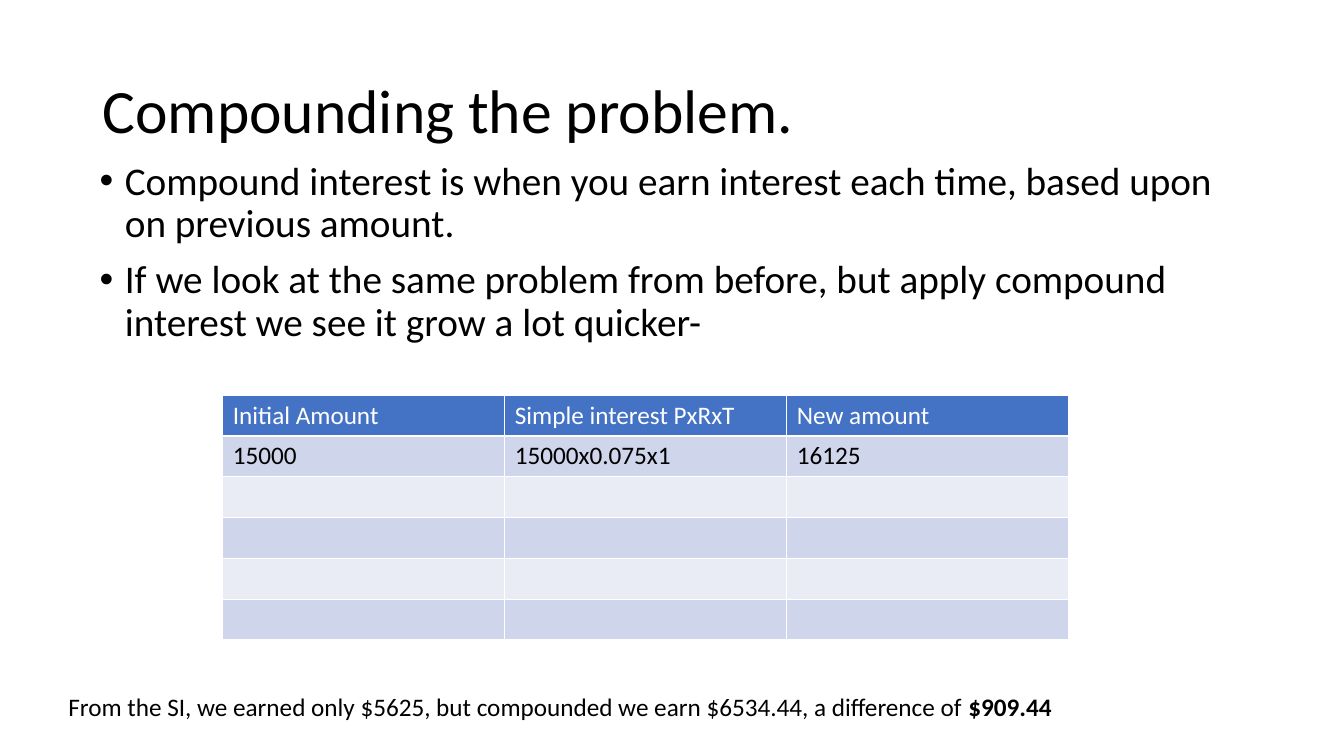
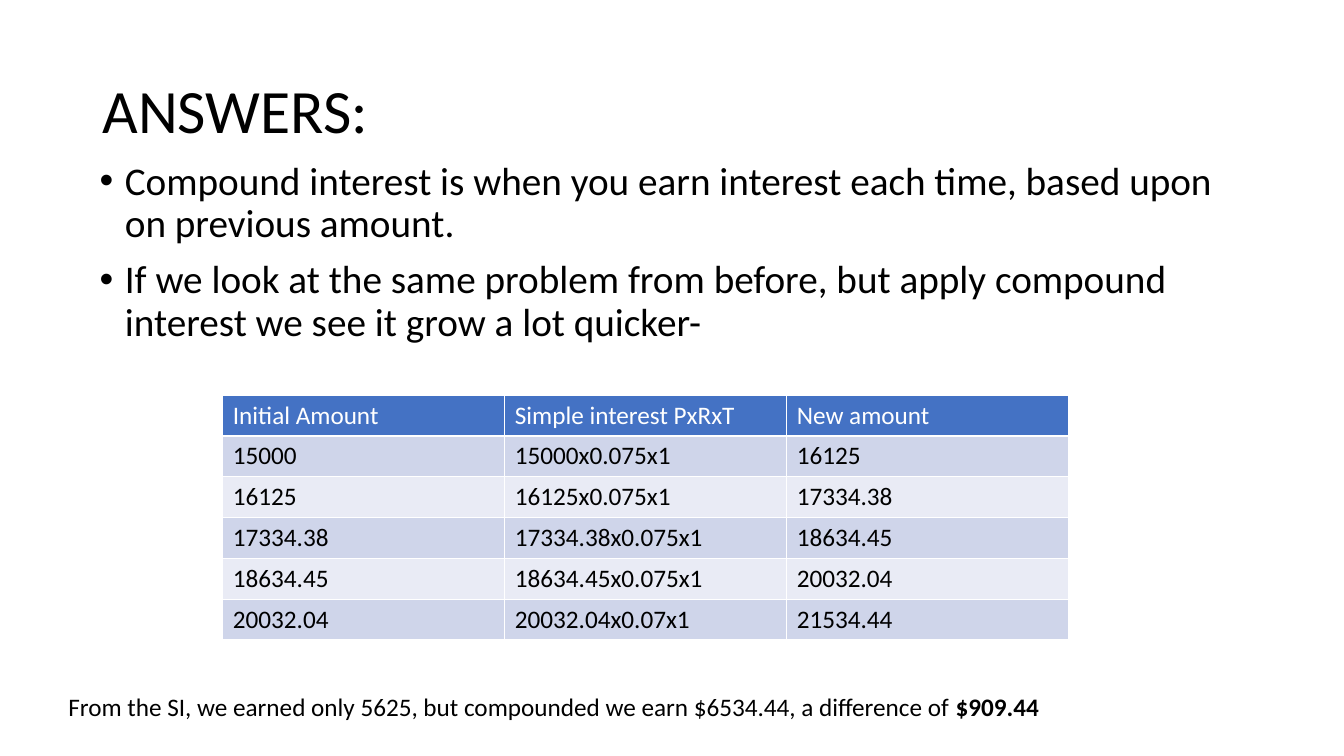
from dataclasses import dataclass

from lxml import etree
from pptx import Presentation
from pptx import util as u
from pptx.dml.color import RGBColor
from pptx.enum import text
from pptx.oxml import ns

SLIDE_WIDTH, SLIDE_HEIGHT = u.Inches(13.33), u.Inches(7.5)


@dataclass(frozen=True)
class Theme:
    font: str = "Calibri"
    ink: str = "000000"
    paper: str = "FFFFFF"
    header: str = "4472C4"
    bands: tuple = ("CFD5EA", "E9EBF5")
    title_size: int = 44
    body_size: int = 28
    small_size: int = 18


THEME = Theme()

# Left, top, width and height on a grid of 100 columns by 100 rows.
TITLE_BOX = (6.9, 5.33, 86.25, 19.33)
BODY_BOX = (6.68, 20.67, 86.55, 53.07)
TABLE_BOX = (16.58, 52.27, 62.94, 32.4)
CAPTION_BOX = (4.35, 90.8, 87.9, 5.33)

BULLETS = (
    "Compound interest is when you earn interest each time, based upon on previous amount.",
    "If we look at the same problem from before, but apply compound interest we see it grow a lot quicker-",
)
HEADINGS = ("Initial Amount", "Simple interest PxRxT", "New amount")
YEARS = (
    ("15000", "15000x0.075x1", "16125"),
    ("16125", "16125x0.075x1", "17334.38"),
    ("17334.38", "17334.38x0.075x1", "18634.45"),
    ("18634.45", "18634.45x0.075x1", "20032.04"),
    ("20032.04", "20032.04x0.07x1", "21534.44"),
)
CAPTION = "From the SI, we earned only {}, but compounded we earn $6534.44, a difference of "
DIFFERENCE = "$909.44"


def on_grid(box):
    """Turn grid columns and rows into slide lengths."""
    sides = (SLIDE_WIDTH, SLIDE_HEIGHT) * 2
    return [u.Emu(round(share * side / 100)) for share, side in zip(box, sides)]


def style(para, size, color=THEME.ink):
    para.font.name = THEME.font
    para.font.size = u.Pt(size)
    para.font.color.rgb = RGBColor.from_string(color)


def add_frame(page, box, anchor=text.MSO_ANCHOR.TOP):
    frame = page.shapes.add_textbox(*on_grid(box)).text_frame
    frame.word_wrap = True
    frame.vertical_anchor = anchor
    return frame


def add_title(page, box, title):
    para = add_frame(page, box, text.MSO_ANCHOR.MIDDLE).paragraphs[0]
    para.text = title
    para.line_spacing = 0.9
    style(para, THEME.title_size)


def add_bullets(page, box, lines):
    frame = add_frame(page, box)
    for index, line in enumerate(lines):
        para = frame.add_paragraph() if index else frame.paragraphs[0]
        para.text = line
        para.line_spacing = 0.9
        if index:
            para.space_before = u.Pt(10)
        properties = para._p.get_or_add_pPr()
        properties.set("marL", str(u.Inches(0.25)))
        properties.set("indent", str(-u.Inches(0.25)))
        etree.SubElement(properties, ns.qn("a:buFont"), typeface="Arial")
        etree.SubElement(properties, ns.qn("a:buChar"), char="•")
        style(para, THEME.body_size)


def add_borders(cell):
    properties = cell._tc.get_or_add_tcPr()
    for side in ("a:lnL", "a:lnR", "a:lnT", "a:lnB"):
        line = etree.SubElement(properties, ns.qn(side), w=str(u.Pt(1)))
        fill = etree.SubElement(line, ns.qn("a:solidFill"))
        etree.SubElement(fill, ns.qn("a:srgbClr"), val=THEME.paper)


def add_interest_table(page, box, years_shown):
    """Draw every year's row, with values only in the first years_shown."""
    rows = (HEADINGS,) + YEARS
    shape = page.shapes.add_table(len(rows), len(HEADINGS), *on_grid(box))
    for row, values in enumerate(rows):
        fill = THEME.bands[(row - 1) % 2] if row else THEME.header
        color = THEME.ink if row else THEME.paper
        for column, value in enumerate(values):
            cell = shape.table.cell(row, column)
            add_borders(cell)
            cell.fill.solid()
            cell.fill.fore_color.rgb = RGBColor.from_string(fill)
            para = cell.text_frame.paragraphs[0]
            if row <= years_shown:
                para.text = value
            style(para, THEME.small_size, color)
            para.font.bold = False


def add_caption(page, box, simple_interest):
    para = add_frame(page, box).paragraphs[0]
    para.add_run().text = CAPTION.format(simple_interest)
    span = para.add_run()
    span.text = DIFFERENCE
    span.font.bold = True
    style(para, THEME.small_size)


def add_interest_page(deck, title, years_shown, simple_interest):
    page = deck.slides.add_slide(deck.slide_layouts[6])
    add_title(page, TITLE_BOX, title)
    add_bullets(page, BODY_BOX, BULLETS)
    add_interest_table(page, TABLE_BOX, years_shown)
    add_caption(page, CAPTION_BOX, simple_interest)


def main():
    deck = Presentation()
    deck.slide_width, deck.slide_height = SLIDE_WIDTH, SLIDE_HEIGHT
    add_interest_page(deck, "Compounding the problem.", 1, "$5625")
    add_interest_page(deck, "ANSWERS:", len(YEARS), "5625")
    deck.save("out.pptx")


if __name__ == "__main__":
    main()
